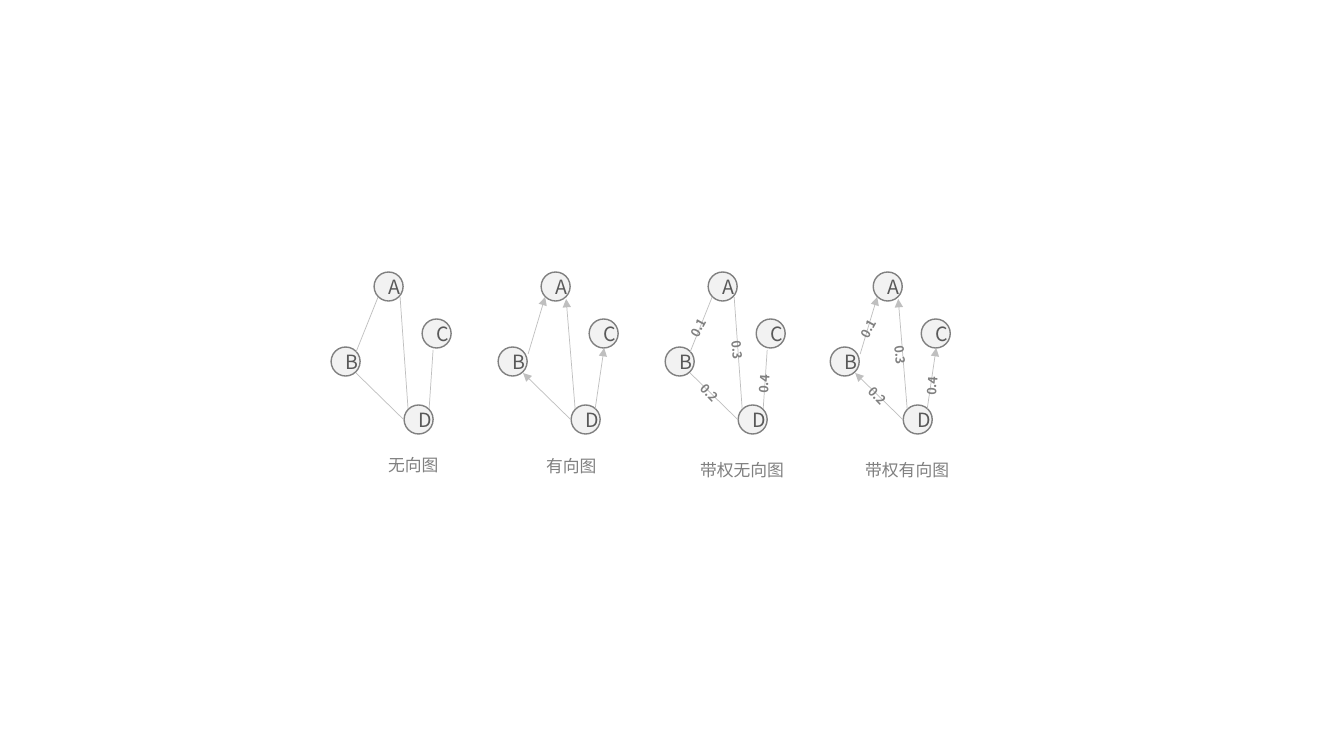
from lxml import etree
from pptx import Presentation
from pptx import util as u
from pptx.dml.color import RGBColor
from pptx.enum import shapes, text
from pptx.oxml import ns

SCALE = u.Inches(1) / 100.8
FONT = "Noto Sans CJK SC"
DIAMETER = 29
NODES = {"B": (0, 347), "C": (91, 319), "D": (73, 405), "A": (43, 272)}
UNDIRECTED = [
    ((25, 352), (47, 297)),
    ((98, 409), (102, 350)),
    ((77, 409), (69, 297)),
    ((73, 420), (25, 373)),
]
DIRECTED = [
    ((30, 354), (47, 297)),
    ((97, 409), (106, 348)),
    ((77, 409), (68, 299)),
    ((73, 420), (25, 373)),
]
WEIGHTS = [("0.1", 298.5), ("0.2", 46.3), ("0.3", 82.2), ("0.4", 273.7)]
GRAPHS = [
    {"left": 331, "directed": False, "caption": "无向图",
     "caption_at": (378, 450, 83), "weights_at": []},
    {"left": 498, "directed": True, "caption": "有向图",
     "caption_at": (536, 451, 101), "weights_at": []},
    {"left": 665, "directed": False, "caption": "带权无向图",
     "caption_at": (690, 455, 148),
     "weights_at": [(677, 312), (689, 383), (715, 341), (741, 368)]},
    {"left": 830, "directed": True, "caption": "带权有向图",
     "caption_at": (855, 455, 148),
     "weights_at": [(847, 313), (857, 386), (878, 346), (909, 370)]},
]


def px(*lengths):
    return [round(length * SCALE) for length in lengths]


def color(value):
    return RGBColor.from_string(value)


def write(shape, words, size, ink, bold=False, align=text.PP_ALIGN.LEFT,
          anchor=text.MSO_ANCHOR.TOP):
    frame = shape.text_frame
    frame.word_wrap = True
    frame.vertical_anchor = anchor
    para = frame.paragraphs[0]
    para.alignment = align
    span = para.add_run()
    span.text = words
    span.font.size = u.Pt(size)
    span.font.bold = bold
    span.font.name = FONT
    span.font.color.rgb = color(ink)
    east_asian = etree.SubElement(span.font._element, ns.qn("a:ea"))
    east_asian.set("typeface", FONT)


def add_node(page, name, left, top):
    node = page.shapes.add_shape(shapes.MSO_SHAPE.OVAL,
                                 *px(left, top, DIAMETER, DIAMETER))
    node.shadow.inherit = False
    node.fill.solid()
    node.fill.fore_color.rgb = color("F2F2F2")
    node.line.color.rgb = color("808080")
    node.line.width = u.Pt(1)
    write(node, name, 14, "595959", align=text.PP_ALIGN.CENTER,
          anchor=text.MSO_ANCHOR.MIDDLE)


def add_edge(page, left, start, end, directed):
    edge = page.shapes.add_connector(
        shapes.MSO_CONNECTOR.STRAIGHT,
        *px(left + start[0], start[1], left + end[0], end[1]))
    edge.line.color.rgb = color("BFBFBF")
    edge.line.width = u.Pt(0.5)
    properties = edge._element.spPr
    if directed:
        outline = properties.find(ns.qn("a:ln"))
        etree.SubElement(outline, ns.qn("a:tailEnd")).set("type", "triangle")
    etree.SubElement(properties, ns.qn("a:effectLst"))


def add_label(page, words, left, top, width, height, size, bold=False, angle=0):
    box = page.shapes.add_textbox(*px(left, top, width, height))
    box.rotation = angle
    write(box, words, size, "808080", bold=bold)
    box.text_frame.auto_size = text.MSO_AUTO_SIZE.SHAPE_TO_FIT_TEXT


deck = Presentation()
deck.slide_width, deck.slide_height = u.Inches(13.33), u.Inches(7.5)
page = deck.slides.add_slide(deck.slide_layouts[6])

for graph in GRAPHS:
    for name, (x, y) in NODES.items():
        add_node(page, name, graph["left"] + x, y)
    for start, end in DIRECTED if graph["directed"] else UNDIRECTED:
        add_edge(page, graph["left"], start, end, graph["directed"])
    left, top, width = graph["caption_at"]
    add_label(page, graph["caption"], left, top, width, 30, 12)
    for (weight, angle), (x, y) in zip(WEIGHTS, graph["weights_at"]):
        add_label(page, weight, x, y, 46, 25, 9, bold=True, angle=angle)

deck.save("out.pptx")
